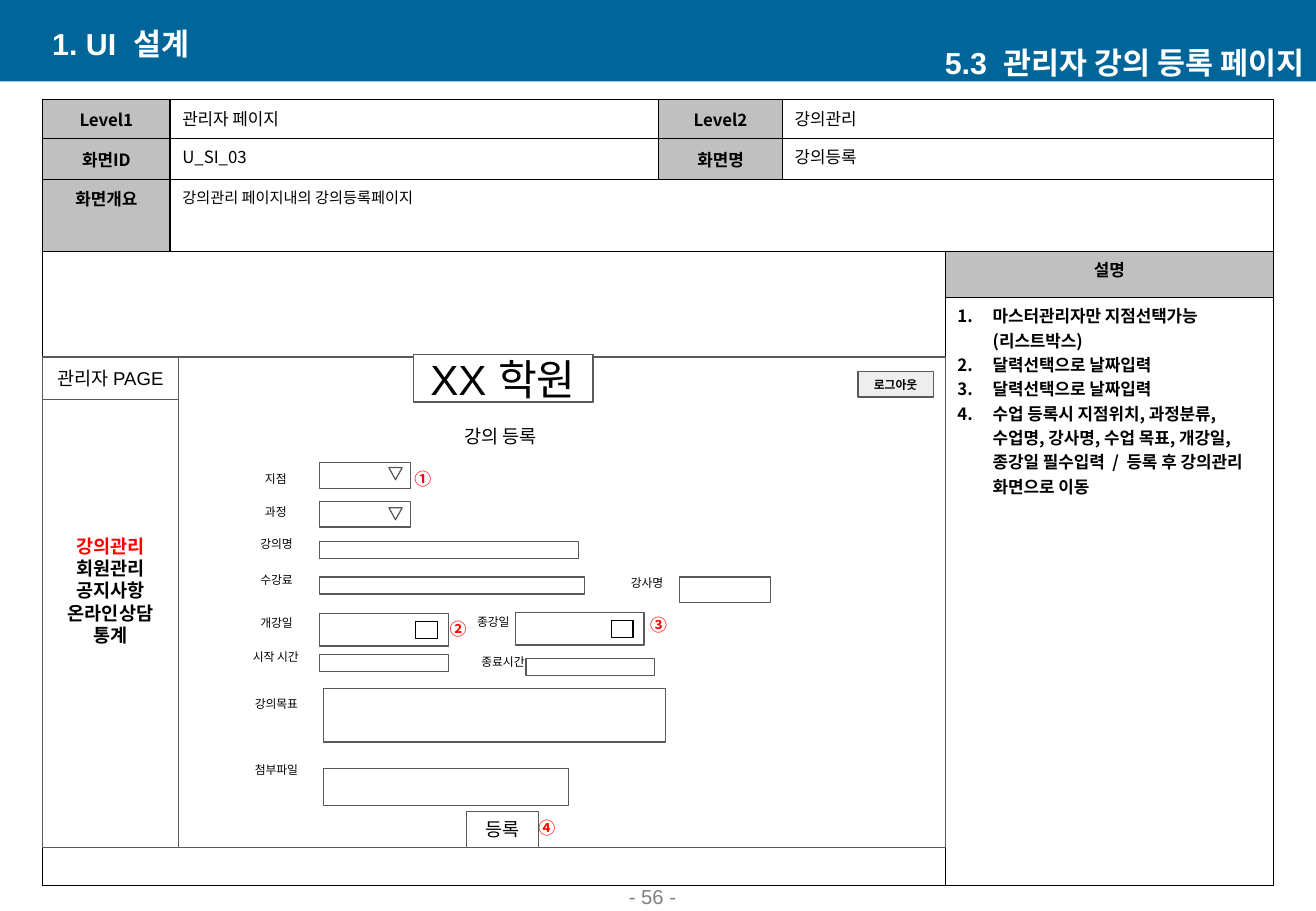
from lxml import etree
from pptx import Presentation
from pptx.dml.color import RGBColor
from pptx.enum.shapes import MSO_SHAPE
from pptx.enum.text import MSO_ANCHOR, PP_ALIGN
from pptx.oxml.ns import qn
from pptx.util import Inches, Pt

RECT, MERGE = MSO_SHAPE.RECTANGLE, MSO_SHAPE.FLOWCHART_MERGE
MIDDLE, TOP, BOTTOM = MSO_ANCHOR.MIDDLE, MSO_ANCHOR.TOP, MSO_ANCHOR.BOTTOM
LEFT, CENTER, RIGHT = PP_ALIGN.LEFT, PP_ALIGN.CENTER, PP_ALIGN.RIGHT
ARIAL, NOTO = "Arial", "Noto Sans CJK KR"
BLACK, WHITE, GRAY, RED = "000000", "FFFFFF", "595959", "FF0000"
HEAD = "C0C0C0"
color = RGBColor.from_string

deck = Presentation()
deck.slide_width, deck.slide_height = Inches(10.83), Inches(7.5)
slide = deck.slides.add_slide(deck.slide_layouts[5])
shapes = slide.shapes


def box(x, y, w, h, fill=WHITE, line=GRAY, kind=RECT):
    """Add a shape, or a text box when there is no fill."""
    place = Inches(x), Inches(y), Inches(w), Inches(h)
    if fill:
        shape = shapes.add_shape(kind, *place)
        shape.shadow.inherit = False
        shape.fill.solid()
        shape.fill.fore_color.rgb = color(fill)
        if line:
            shape.line.color.rgb = color(line)
            shape.line.width = Pt(0.75)
        else:
            shape.line.fill.background()
    else:
        shape = shapes.add_textbox(*place)
    frame = shape.text_frame
    frame.word_wrap = True
    frame.margin_left = frame.margin_right = 0
    frame.margin_top = frame.margin_bottom = 0
    frame.vertical_anchor = MIDDLE
    return frame


def write(frame, text, size, hue=BLACK, bold=False, font=ARIAL,
          align=CENTER, number=False):
    """Fill a frame with evenly formatted paragraphs."""
    frame.text = text
    for para in frame.paragraphs:
        para.alignment = align
        props = para._p.get_or_add_pPr()
        if number:
            props.set("marL", str(Inches(0.29)))
            props.set("indent", str(-Inches(0.29)))
            etree.SubElement(props, qn("a:buAutoNum"), type="arabicPeriod")
        para.font.size = Pt(size)
        para.font.bold = bold
        para.font.name = font
        para.font.color.rgb = color(hue)
        etree.SubElement(props.find(qn("a:defRPr")), qn("a:ea"), typeface=NOTO)


# Header bar, titles and page number
box(0, 0, 10.83, 0.67, "006699", None)
title = shapes.title
shapes._spTree.append(title._element)
title.left, title.top = Inches(0.33), Inches(0.19)
title.width, title.height = Inches(4.38), Inches(0.33)
title.text_frame.vertical_anchor = MIDDLE
write(title.text_frame, "1. UI  설계", 18, WHITE, True, align=LEFT)

topic = box(6.45, 0.35, 4.38, 0.33, None)
topic.margin_right = Inches(0.1)
write(topic, "5.3  관리자 강의 등록 페이지", 18, WHITE, True, align=RIGHT)

page = box(4.24, 7.3, 2.26, 0.23, None)
page.vertical_anchor = BOTTOM
page.margin_bottom = Inches(0.05)
write(page, "- 56 -", 12, "808080")

# Specification table
widths = [1.05, 4.02, 1.02, 1.34, 2.7]
heights = [0.32, 0.34, 0.59, 0.38, 4.84]
grid = shapes.add_table(5, 5, Inches(0.35), Inches(0.82),
                        Inches(sum(widths)), Inches(sum(heights))).table
for col, width in zip(grid.columns, widths):
    col.width = Inches(width)
for row, height in zip(grid.rows, heights):
    row.height = Inches(height)

heads = {(0, 0): "Level1", (0, 2): "Level2", (1, 0): "화면ID",
         (1, 2): "화면명", (2, 0): "화면개요", (3, 4): "설명"}
values = {(0, 1): "관리자 페이지", (0, 3): "강의관리",
          (1, 1): "U_SI_03", (1, 3): "강의등록",
          (2, 1): "강의관리 페이지내의 강의등록페이지"}
notes = ["마스터관리자만 지점선택가능(리스트박스)",
         "달력선택으로 날짜입력",
         "달력선택으로 날짜입력",
         "수업 등록시 지점위치, 과정분류, 수업명, 강사명, 수업 목표, 개강일, "
         "종강일 필수입력  /  등록 후 강의관리 화면으로 이동"]

for r in range(5):
    for c in range(5):
        cell = grid.cell(r, c)
        cell.vertical_anchor = MIDDLE if (r, c) in heads and r < 2 else TOP
        if (r, c) in heads:
            write(cell.text_frame, heads[r, c], 10, bold=True, font=NOTO)
        elif (r, c) == (4, 4):
            write(cell.text_frame, "\n".join(notes), 10, bold=True,
                  font=NOTO, align=LEFT, number=True)
        else:
            write(cell.text_frame, values.get((r, c), ""),
                  9 if r == 2 else 10, font=NOTO, align=LEFT)
        props = cell._tc.get_or_add_tcPr()
        for side in ("a:lnL", "a:lnR", "a:lnT", "a:lnB"):
            edge = etree.SubElement(props, qn(side), w=str(Pt(1)))
            paint = etree.SubElement(edge, qn("a:solidFill"))
            etree.SubElement(paint, qn("a:srgbClr"), val=BLACK)
        cell.fill.solid()
        cell.fill.fore_color.rgb = color(HEAD if (r, c) in heads else WHITE)

for start, end in [((0, 3), (0, 4)), ((1, 3), (1, 4)),
                   ((2, 1), (2, 4)), ((3, 0), (4, 3))]:
    grid.cell(*start).merge(grid.cell(*end))

# Screen frame and side menu
box(0.36, 2.94, 7.42, 4.04)
menu = box(0.35, 2.94, 1.12, 4.04)
menu.margin_bottom = Inches(0.2)
write(menu, "강의관리\n회원관리\n공지사항\n온라인상담\n통계", 11, bold=True)
for para in menu.paragraphs:
    para.line_spacing = Pt(13.2)
menu.paragraphs[0].font.color.rgb = color(RED)

# Page heading and buttons
write(box(0.35, 2.94, 1.12, 0.35), "관리자 PAGE", 11)
write(box(3.4, 2.92, 1.48, 0.39), "XX 학원", 25)
write(box(3.69, 3.41, 0.86, 0.36, None), "강의 등록", 11)
write(box(7.06, 3.06, 0.62, 0.21, "EEEEEE"), "로그아웃", 7, bold=True)
write(box(3.84, 6.68, 0.59, 0.3), "등록", 11)

# Input fields
for field in [(2.63, 3.81, 0.75, 0.21), (2.63, 4.13, 0.75, 0.21),
              (2.63, 4.46, 2.13, 0.14), (2.63, 4.75, 2.18, 0.14),
              (5.59, 4.75, 0.75, 0.21), (2.63, 5.05, 1.06, 0.27),
              (4.24, 5.04, 1.06, 0.27), (2.63, 5.39, 1.06, 0.14),
              (4.33, 5.42, 1.06, 0.14), (2.66, 5.67, 2.82, 0.44),
              (2.66, 6.33, 2.02, 0.3)]:
    box(*field)

# List arrows and calendar icons
for y in (3.85, 4.18):
    box(3.2, y, 0.11, 0.1, kind=MERGE)
for x, y in [(3.42, 5.12), (5.03, 5.11)]:
    box(x, y, 0.18, 0.14, line=BLACK)

# Field labels
for text, x, y, w in [("지점", 2.07, 3.83, 0.4), ("과정", 2.07, 4.1, 0.4),
                      ("강의명", 1.98, 4.37, 0.59),
                      ("수강료", 1.98, 4.66, 0.59),
                      ("강사명", 5.03, 4.69, 0.59),
                      ("개강일", 1.98, 5.02, 0.59),
                      ("종강일", 3.79, 5.01, 0.54),
                      ("시작 시간", 1.89, 5.3, 0.76),
                      ("종료시간", 3.76, 5.34, 0.76),
                      ("강의목표", 1.9, 5.68, 0.75),
                      ("첨부파일", 1.9, 6.23, 0.75)]:
    label = box(x, y, w, 0.32, None)
    label.margin_bottom = Inches(0.1)
    write(label, text, 7)

# Numbered marks
for text, x, y in [("①", 3.31, 3.81), ("②", 3.6, 5.04),
                   ("③", 5.25, 5.01), ("④", 4.33, 6.68)]:
    write(box(x, y, 0.34, 0.27, None), text, 10, RED, True, NOTO)

deck.save("out.pptx")
